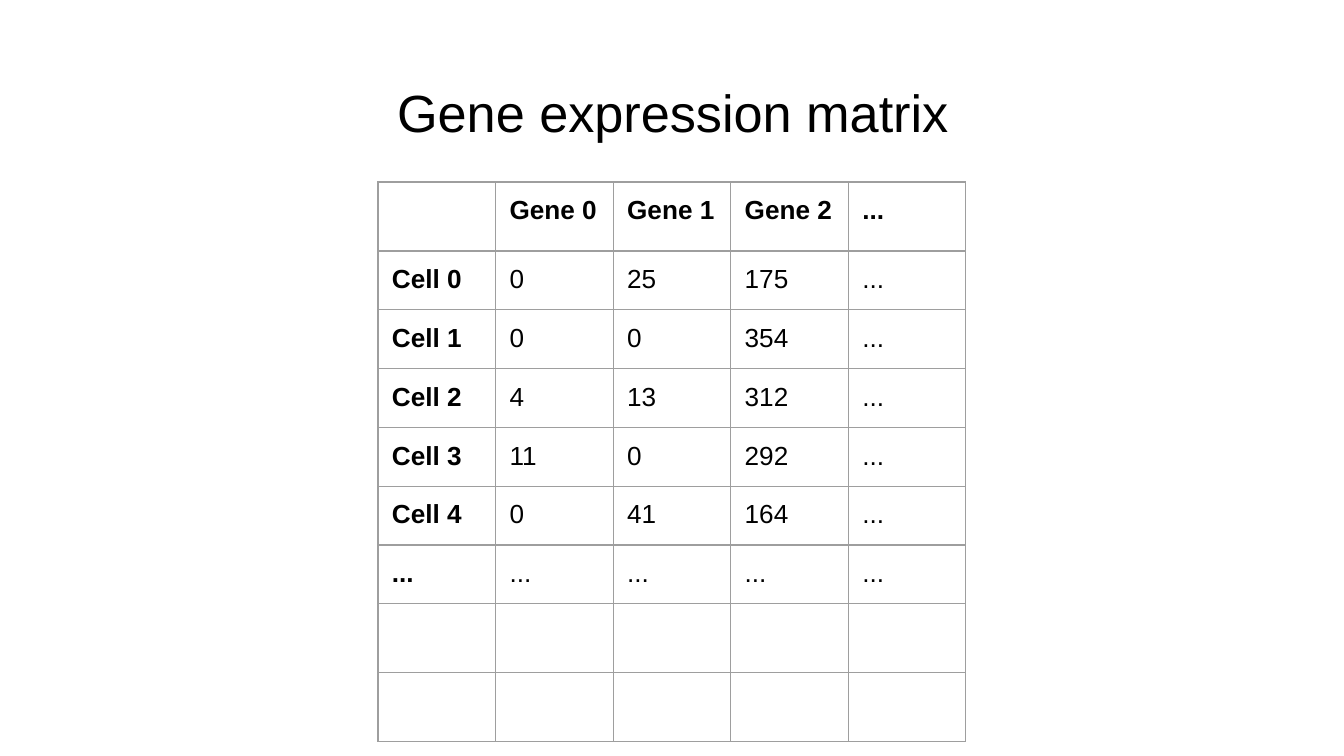
from pptx import Presentation
from pptx.dml.color import RGBColor
from pptx.enum.text import MSO_ANCHOR, MSO_AUTO_SIZE, PP_ALIGN
from pptx.oxml import parse_xml
from pptx.oxml.ns import nsdecls
from pptx.util import Emu, Pt

PX = 9525
FONT = "Arial"
INK = "000000"
GRID = "9E9E9E"
INSET = 10
COL_WIDTH = 84
ROW_HEIGHT = 42
LAST_ROW_HEIGHT = 40

MATRIX = [
    ["", "Gene 0", "Gene 1", "Gene 2", "..."],
    ["Cell 0", "0", "25", "175", "..."],
    ["Cell 1", "0", "0", "354", "..."],
    ["Cell 2", "4", "13", "312", "..."],
    ["Cell 3", "11", "0", "292", "..."],
    ["Cell 4", "0", "41", "164", "..."],
    ["..."] * 5,
    [""] * 5,
    [""] * 5,
]


def px(n):
    """Turn pixels into EMU."""
    return Emu(n * PX)


def rgb(value):
    """Turn a hex string into a colour."""
    return RGBColor.from_string(value)


def style_run(r, size, bold=False):
    """Set the font of a run."""
    r.font.name = FONT
    r.font.size = Pt(size)
    r.font.bold = bold
    r.font.color.rgb = rgb(INK)


def set_insets(box):
    """Give a text frame or cell equal margins."""
    box.margin_left = box.margin_right = px(INSET)
    box.margin_top = box.margin_bottom = px(INSET)


def set_title(s, text):
    """Place and format the slide title."""
    sp = s.shapes.title
    sp.left, sp.top, sp.width, sp.height = map(px, (33, 47, 895, 60))
    tf = sp.text_frame
    tf.text = text
    tf.auto_size = MSO_AUTO_SIZE.NONE
    tf.vertical_anchor = MSO_ANCHOR.TOP
    set_insets(tf)
    p = tf.paragraphs[0]
    p.alignment = PP_ALIGN.CENTER
    style_run(p.runs[0], 28)


def set_borders(cell):
    """Draw a thin line on all four sides of a cell."""
    tc_pr = cell._tc.get_or_add_tcPr()
    for side in "LRTB":
        tc_pr.append(parse_xml(
            f'<a:ln{side} {nsdecls("a")} w="{Pt(0.75)}"><a:solidFill>'
            f'<a:srgbClr val="{GRID}"/></a:solidFill></a:ln{side}>'
        ))


def fill_cell(cell, text, bold):
    """Write and format one table cell."""
    set_insets(cell)
    set_borders(cell)
    cell.fill.background()
    cell.text = text
    for r in cell.text_frame.paragraphs[0].runs:
        style_run(r, 14, bold)


def add_matrix(s, rows):
    """Add the table with bold row and column headings."""
    n_rows, n_cols = len(rows), len(rows[0])
    height = (n_rows - 1) * ROW_HEIGHT + LAST_ROW_HEIGHT
    table = s.shapes.add_table(
        n_rows, n_cols, px(270), px(130), px(n_cols * COL_WIDTH), px(height)
    ).table
    table.horz_banding = False
    table.first_row = False
    for column in table.columns:
        column.width = px(COL_WIDTH)
    for i, values in enumerate(rows):
        table.rows[i].height = px(ROW_HEIGHT if i < n_rows - 1 else LAST_ROW_HEIGHT)
        for j, value in enumerate(values):
            fill_cell(table.cell(i, j), value, bold=i == 0 or j == 0)


def main():
    """Build the slide and save it."""
    prs = Presentation()
    prs.slide_width, prs.slide_height = px(960), px(540)
    s = prs.slides.add_slide(prs.slide_layouts[5])
    set_title(s, "Gene expression matrix")
    add_matrix(s, MATRIX)
    prs.save("out.pptx")


if __name__ == "__main__":
    main()
